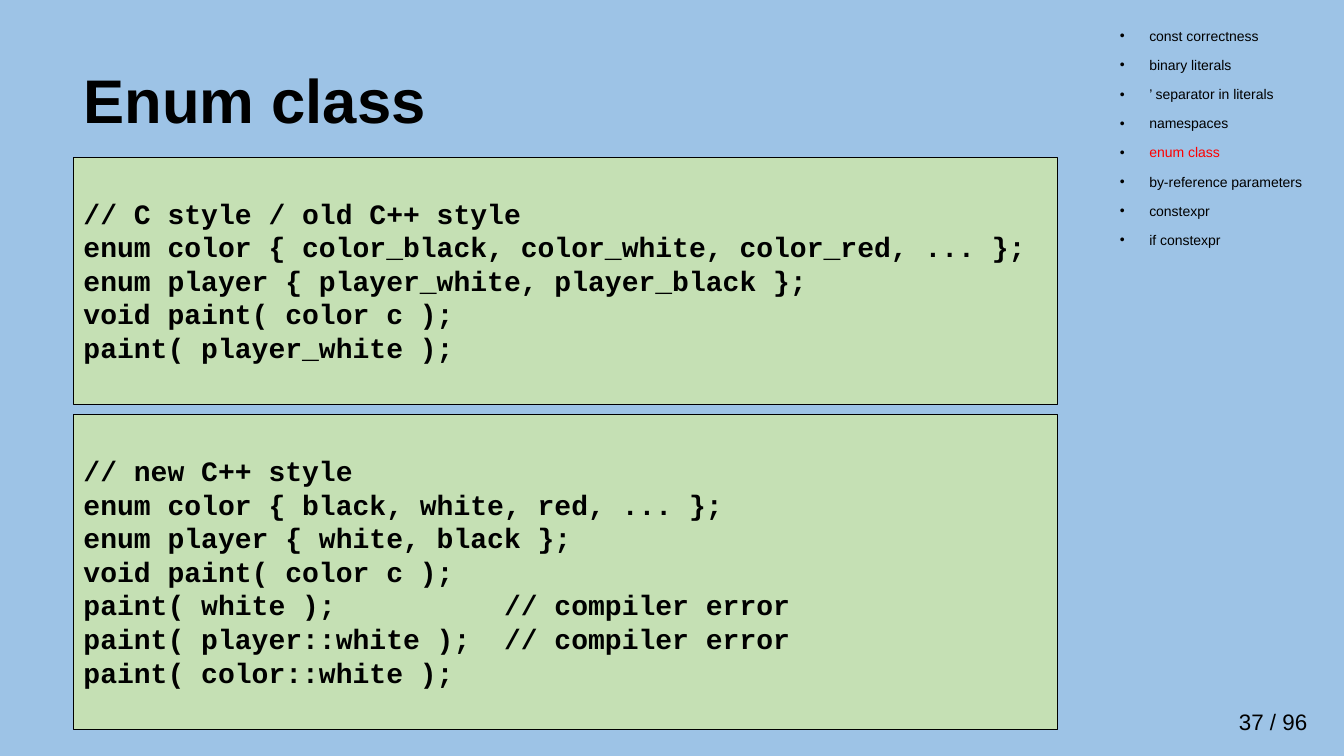
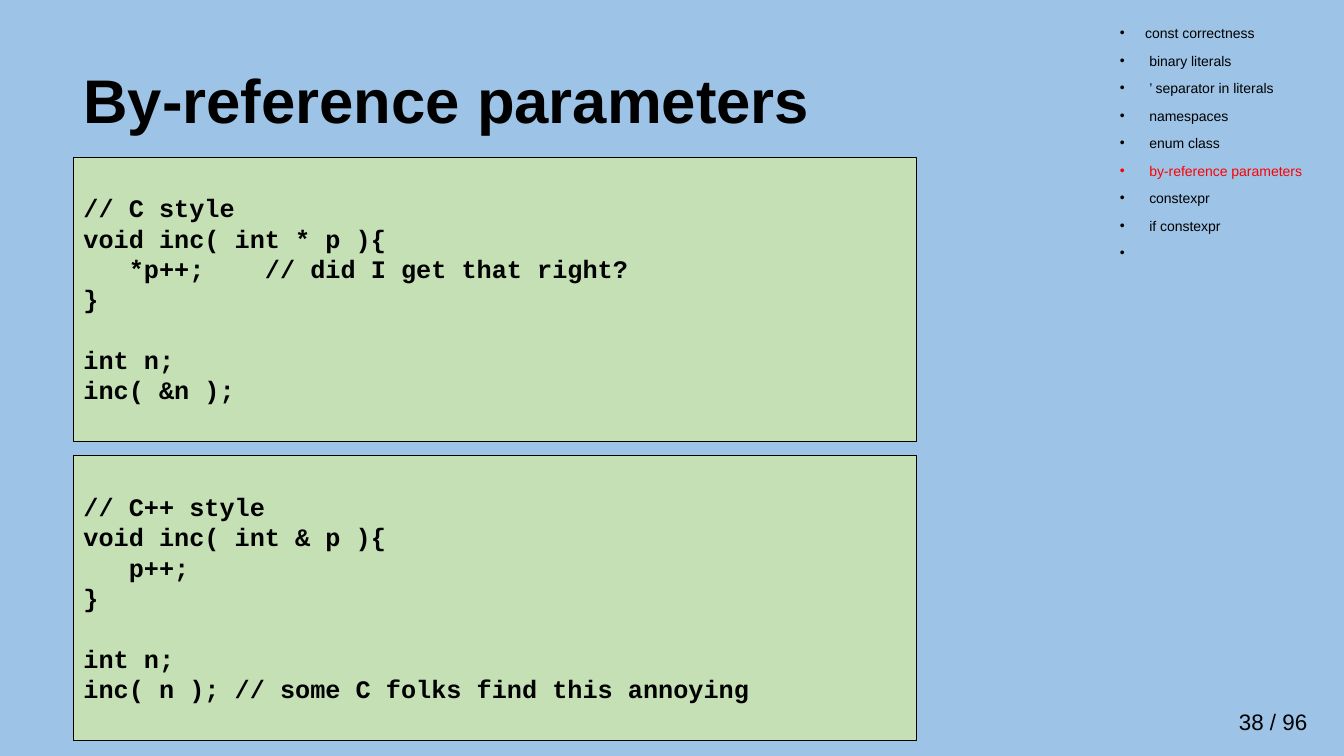
from dataclasses import dataclass

from lxml.etree import SubElement
from pptx import Presentation
from pptx.dml.color import RGBColor
from pptx.enum.shapes import MSO_SHAPE
from pptx.enum.text import MSO_ANCHOR, PP_ALIGN
from pptx.oxml.ns import qn
from pptx.util import Inches, Pt


@dataclass(frozen=True)
class Theme:
    background: RGBColor = RGBColor(0x9D, 0xC3, 0xE6)
    code_fill: RGBColor = RGBColor(0xC5, 0xE0, 0xB4)
    ink: RGBColor = RGBColor(0, 0, 0)
    highlight: RGBColor = RGBColor(0xFF, 0, 0)
    text_font: str = "Arial"
    code_font: str = "Courier New"
    title_size: int = 44
    page_size: int = 16
    outline_size: int = 10
    code_line: float = 1.21


THEME = Theme()
LEFT = 0.73
CODE_TOP = 1.56
INSET = 0.05
PAGE_COUNT = 96

TOPICS = [
    "const correctness",
    "binary literals",
    "’ separator in literals",
    "namespaces",
    "enum class",
    "by-reference parameters",
    "constexpr",
    "if constexpr",
]

OLD_ENUM = """// C style / old C++ style
enum color { color_black, color_white, color_red, ... };
enum player { player_white, player_black };
void paint( color c );
paint( player_white );"""

NEW_ENUM = """// new C++ style
enum color { black, white, red, ... };
enum player { white, black };
void paint( color c );
paint( white );          // compiler error
paint( player::white );  // compiler error
paint( color::white );"""

POINTER_PARAMETER = """// C style
void inc( int * p ){
   *p++;    // did I get that right?
}

int n;
inc( &n );"""

REFERENCE_PARAMETER = """// C++ style
void inc( int & p ){
   p++;
}

int n;
inc( n ); // some C folks find this annoying"""


def set_font(paragraph, size, color=THEME.ink, name=THEME.text_font, bold=False):
    font = paragraph.font
    font.name = name
    font.size = Pt(size)
    font.bold = bold
    font.color.rgb = color


def add_text_box(slide, left, top, width, height):
    shape = slide.shapes.add_textbox(
        Inches(left), Inches(top), Inches(width), Inches(height)
    )
    shape.text_frame.word_wrap = True
    return shape.text_frame


def add_title(slide, text):
    frame = add_text_box(slide, LEFT, 0.5, 10.2, 1.05)
    frame.vertical_anchor = MSO_ANCHOR.MIDDLE
    paragraph = frame.paragraphs[0]
    paragraph.text = text
    paragraph.line_spacing = 0.9
    set_font(paragraph, THEME.title_size, bold=True)


def add_page_number(slide, number):
    frame = add_text_box(slide, 12.19, 6.98, 1.1, 0.37)
    paragraph = frame.paragraphs[0]
    paragraph.text = f"{number} / {PAGE_COUNT}"
    set_font(paragraph, THEME.page_size)


def add_bullet(paragraph, indent, color):
    properties = paragraph._p.get_or_add_pPr()
    properties.set("marL", str(Inches(indent)))
    properties.set("indent", str(-Inches(indent)))
    bullet_color = SubElement(properties, qn("a:buClr"))
    SubElement(bullet_color, qn("a:srgbClr"), val=str(color))
    SubElement(properties, qn("a:buFont"), typeface=THEME.text_font)
    SubElement(properties, qn("a:buChar"), char="•")


def add_outline(slide, topics, current, top, spacing, bullet_highlight, first_indent):
    frame = add_text_box(slide, 11.01, top, 2.32, 2.53)
    for index, topic in enumerate(topics):
        paragraph = frame.paragraphs[0] if index == 0 else frame.add_paragraph()
        paragraph.text = topic
        paragraph.line_spacing = spacing
        if index:
            paragraph.space_before = Pt(10)
        is_current = topic == current
        add_bullet(
            paragraph,
            0.29 if index else first_indent,
            bullet_highlight if is_current else THEME.ink,
        )
        set_font(
            paragraph,
            THEME.outline_size,
            THEME.highlight if is_current else THEME.ink,
        )


def add_code_box(slide, code, top, width, size):
    lines = code.split("\n")
    line_height = size * THEME.code_line / 72
    height = (len(lines) + 2) * line_height + 2 * INSET
    shape = slide.shapes.add_shape(
        MSO_SHAPE.RECTANGLE, Inches(LEFT), Inches(top), Inches(width), Inches(height)
    )
    shape.shadow.inherit = False
    shape.fill.solid()
    shape.fill.fore_color.rgb = THEME.code_fill
    shape.line.color.rgb = THEME.ink
    shape.line.width = Pt(0.75)
    frame = shape.text_frame
    frame.word_wrap = True
    frame.vertical_anchor = MSO_ANCHOR.TOP
    frame.margin_top = Inches(INSET + line_height)
    paragraph = frame.paragraphs[0]
    for index, line in enumerate(lines):
        if not line:
            continue
        if index:
            paragraph = frame.add_paragraph()
            if not lines[index - 1]:
                paragraph.space_before = Inches(line_height)
        paragraph.text = line
        paragraph.alignment = PP_ALIGN.LEFT
        set_font(paragraph, size, name=THEME.code_font, bold=True)
    return top + height


def add_code_slide(presentation, title, number, codes, width, size, gap):
    slide = presentation.slides.add_slide(presentation.slide_layouts[6])
    add_page_number(slide, number)
    add_title(slide, title)
    top = CODE_TOP
    for code in codes:
        top = add_code_box(slide, code, top, width, size) + gap
    return slide


def main():
    presentation = Presentation()
    presentation.slide_width = Inches(13.33)
    presentation.slide_height = Inches(7.5)
    background = presentation.slide_master.background.fill
    background.solid()
    background.fore_color.rgb = THEME.background

    enum_slide = add_code_slide(
        presentation, "Enum class", 37, [OLD_ENUM, NEW_ENUM], 9.76, 20, 0.1
    )
    add_outline(enum_slide, TOPICS, "enum class", 0.24, 0.9, THEME.ink, 0.29)

    reference_slide = add_code_slide(
        presentation,
        "By-reference parameters",
        38,
        [POINTER_PARAMETER, REFERENCE_PARAMETER],
        8.36,
        18,
        0.14,
    )
    add_outline(
        reference_slide,
        TOPICS + [" "],
        "by-reference parameters",
        0.23,
        0.8,
        THEME.highlight,
        0.25,
    )
    presentation.save("out.pptx")


if __name__ == "__main__":
    main()
